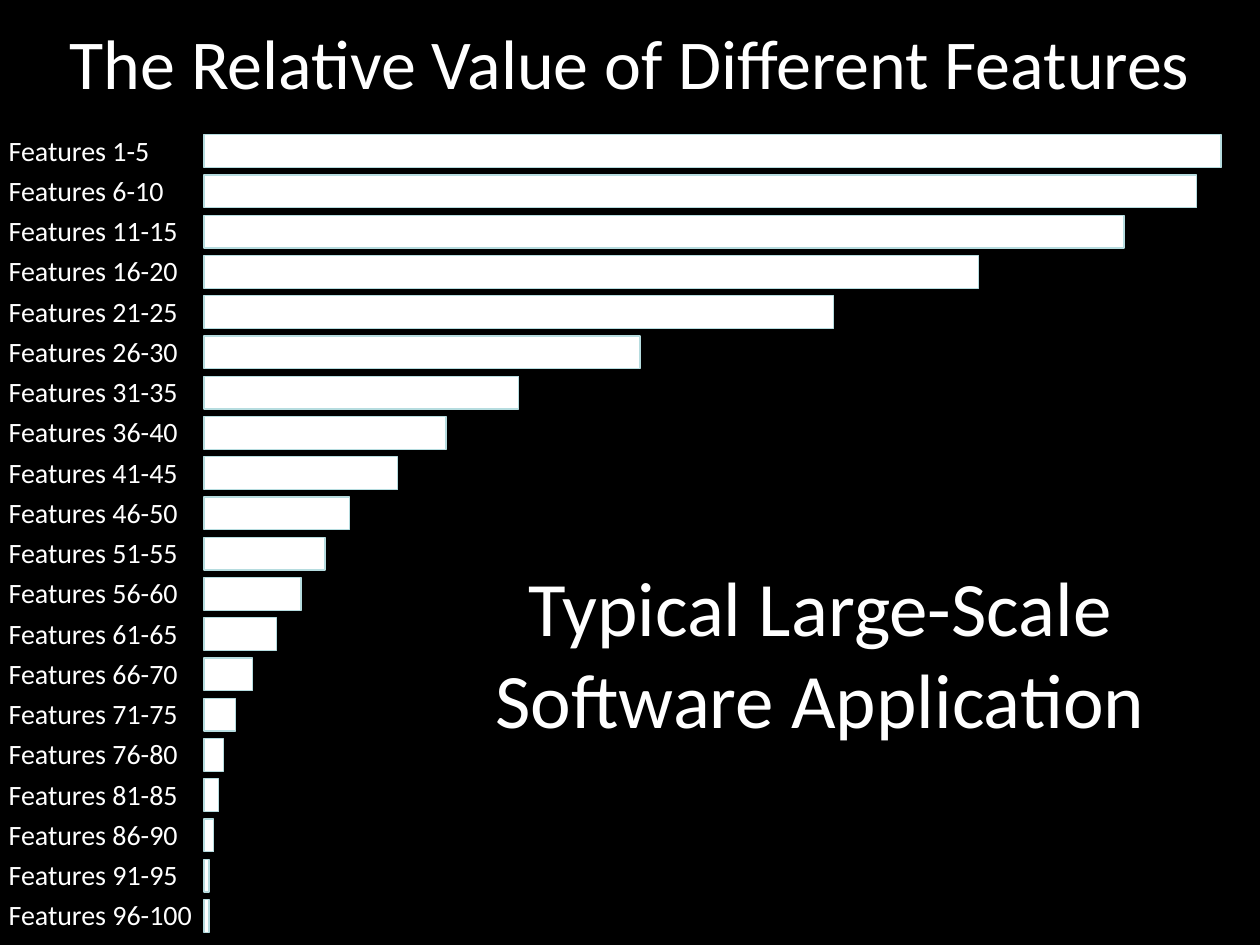
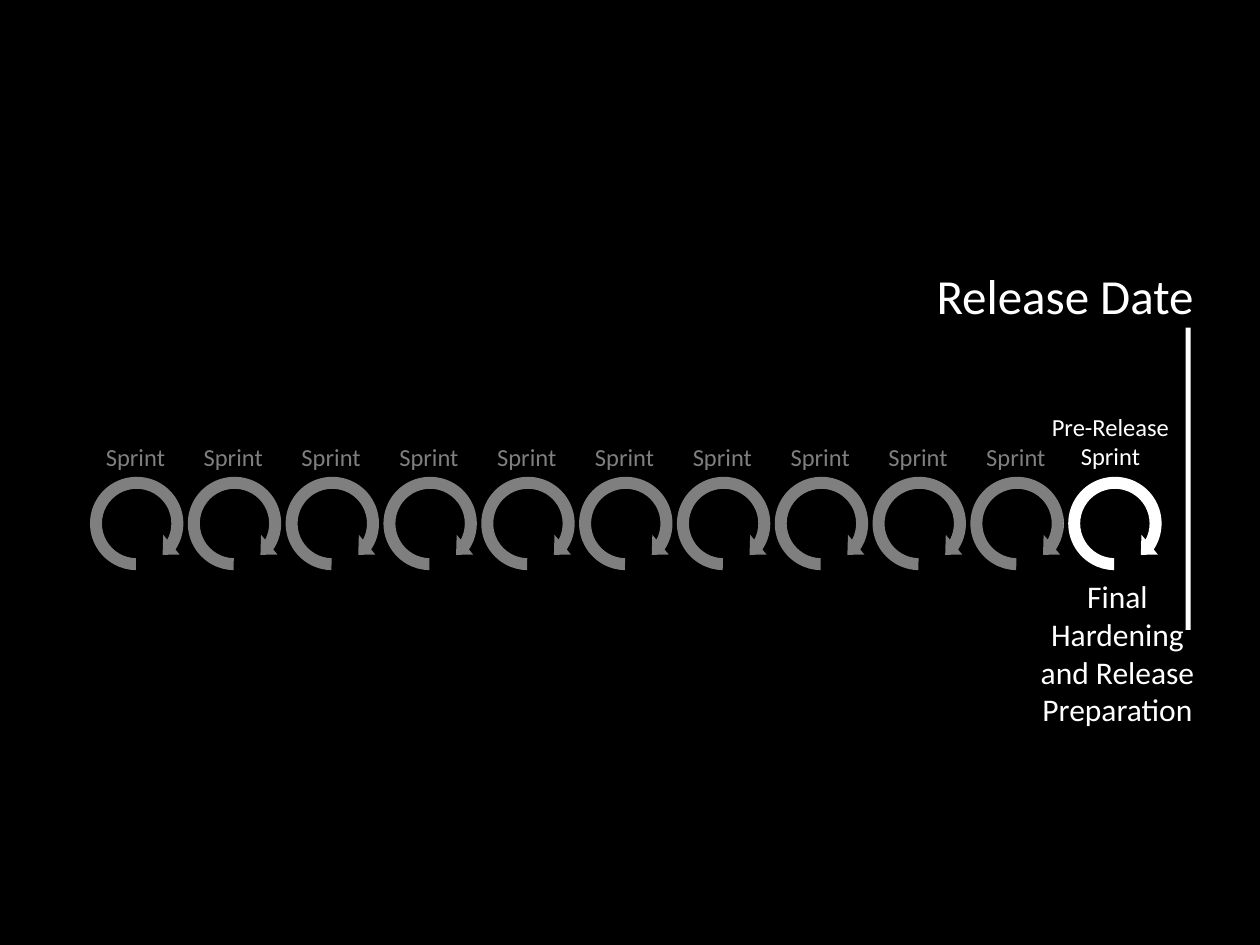
from dataclasses import dataclass

import pptx
import pptx.dml.color
import pptx.enum.shapes
import pptx.enum.text
import pptx.util
from lxml import etree
from pptx.oxml.ns import qn

Inches = pptx.util.Inches
SHAPES = pptx.enum.shapes.MSO_SHAPE
ALIGN = pptx.enum.text.PP_ALIGN
ANCHOR = pptx.enum.text.MSO_ANCHOR


@dataclass(frozen=True)
class Theme:
    """Colours, font and type sizes of the deck."""
    font: str = "Calibri"
    ground: str = "000000"
    ink: str = "FFFFFF"
    bar_edge: str = "B6DCDF"
    title: int = 40
    caption: int = 44
    milestone: int = 28
    note: int = 18
    bar_label: int = 16
    sprint_label: int = 14


THEME = Theme()

FEATURE_VALUES = [42, 41, 38, 32, 26, 18, 13, 10, 8, 6,
                  5, 4, 3, 2, 1.3, 0.8, 0.6, 0.4, 0.2, 0.2]
FEATURES_PER_BAR = 5
PAST_SPRINTS = 10


def rgb(colour):
    """Turn a hex string into a colour."""
    return pptx.dml.color.RGBColor.from_string(colour)


def write(shape, text, size, align, anchor):
    """Fill a shape or placeholder with text in the deck's font."""
    frame = shape.text_frame
    frame.word_wrap = True
    frame.vertical_anchor = anchor
    frame.text = text
    for paragraph in frame.paragraphs:
        paragraph.alignment = align
        for run in paragraph.runs:
            run.font.name = THEME.font
            run.font.size = pptx.util.Pt(size)
            run.font.color.rgb = rgb(THEME.ink)


def add_label(slide, box, text, size, align=ALIGN.CENTER, anchor=ANCHOR.TOP):
    """Add a text box at a box given in inches."""
    label = slide.shapes.add_textbox(*map(Inches, box))
    write(label, text, size, align, anchor)


def add_solid(slide, kind, box, colour=THEME.ink, edge=None):
    """Add a flat filled shape at a box given in inches."""
    solid = slide.shapes.add_shape(kind, *map(Inches, box))
    solid.shadow.inherit = False
    solid.fill.solid()
    solid.fill.fore_color.rgb = rgb(colour)
    if edge:
        solid.line.color.rgb = rgb(edge)
        solid.line.width = pptx.util.Pt(0.75)
    else:
        solid.line.fill.background()
    return solid


def add_veil(slide, box, opacity):
    """Dim what lies below with a translucent sheet in the ground colour."""
    veil = add_solid(slide, SHAPES.RECTANGLE, box, THEME.ground)
    colour = veil.fill._xPr.find(qn("a:solidFill")).find(qn("a:srgbClr"))
    etree.SubElement(colour, qn("a:alpha")).set("val", str(opacity * 1000))


def add_feature_bars(slide, box):
    """Draw one labelled bar for each group of features."""
    left, top, width, height = box
    bar_left, bar_height = 1.65, 0.26
    pitch = (height - bar_height) / (len(FEATURE_VALUES) - 1)
    scale = (width - bar_left) / max(FEATURE_VALUES)
    for index, value in enumerate(FEATURE_VALUES):
        bar_top = top + index * pitch
        first = index * FEATURES_PER_BAR + 1
        add_solid(slide, SHAPES.RECTANGLE,
                  (left + bar_left, bar_top, value * scale, bar_height),
                  edge=THEME.bar_edge)
        add_label(slide, (left, bar_top - 0.01, 2.21, bar_height),
                  f"Features {first}-{first + FEATURES_PER_BAR - 1}",
                  THEME.bar_label, ALIGN.LEFT, ANCHOR.MIDDLE)


def add_sprint_arrow(slide, left, top):
    """Draw the circular arrow of one sprint."""
    arrow = add_solid(slide, SHAPES.CIRCULAR_ARROW, (left, top, 0.85, 0.85))
    for index, value in enumerate((0.112, 11.423, 18.81, 54.656, 0.12)):
        arrow.adjustments[index] = value


def add_sprint_row(slide, box):
    """Draw the dimmed past sprints and the bright pre-release sprint."""
    left, top, width, height = box
    pitch = width / (PAST_SPRINTS + 1)
    arrow_top = top + 0.51
    for index in range(PAST_SPRINTS):
        sprint_left = left + index * pitch
        add_label(slide, (sprint_left - 0.06, top + 0.24, 0.95, 0.34),
                  "Sprint", THEME.sprint_label)
        add_sprint_arrow(slide, sprint_left, arrow_top)
    add_veil(slide, (left - 0.51, top + 0.31, 8.29, 1.74), 50)
    last_left = left + PAST_SPRINTS * pitch
    add_sprint_arrow(slide, last_left, arrow_top)
    add_label(slide, (last_left - 0.23, top, 1.24, 0.57),
              "Pre-Release Sprint", THEME.sprint_label)
    add_label(slide, (last_left - 0.38, top + height - 1.31, 1.65, 1.31),
              "Final Hardening and Release Preparation", THEME.note)


def add_release_date(slide, box):
    """Mark the release date with a label above a vertical bar."""
    left, top, width, height = box
    add_label(slide, (left, top, width, 0.57), "Release Date",
              THEME.milestone, ALIGN.RIGHT)
    add_solid(slide, SHAPES.RECTANGLE,
              (left + width - 0.16, top + 0.54, 0.04, height - 0.54))


def build_feature_slide(deck):
    """Build the slide on the relative value of features."""
    slide = deck.slides.add_slide(deck.slide_layouts.get_by_name("Title Only"))
    title = slide.shapes.title
    title.left, title.top, title.width, title.height = map(
        Inches, (0, -0.14, 10, 1.25))
    write(title, "The Relative Value of Different Features",
          THEME.title, ALIGN.CENTER, ANCHOR.MIDDLE)
    add_feature_bars(slide, (-0.03, 1.07, 9.72, 6.33))
    add_label(slide, (3.72, 4.39, 5.58, 1.58),
              "Typical Large-Scale Software Application", THEME.caption)


def build_release_slide(deck):
    """Build the slide on the sprints leading to the release."""
    slide = deck.slides.add_slide(deck.slide_layouts.get_by_name("Blank"))
    add_release_date(slide, (7.12, 2.06, 2.45, 2.94))
    add_sprint_row(slide, (0.66, 3.22, 8.54, 2.62))


def main():
    """Build and save the deck."""
    deck = pptx.Presentation()
    deck.slide_width, deck.slide_height = Inches(10), Inches(7.5)
    ground = deck.slide_master.background.fill
    ground.solid()
    ground.fore_color.rgb = rgb(THEME.ground)
    build_feature_slide(deck)
    build_release_slide(deck)
    deck.save("out.pptx")


if __name__ == "__main__":
    main()
